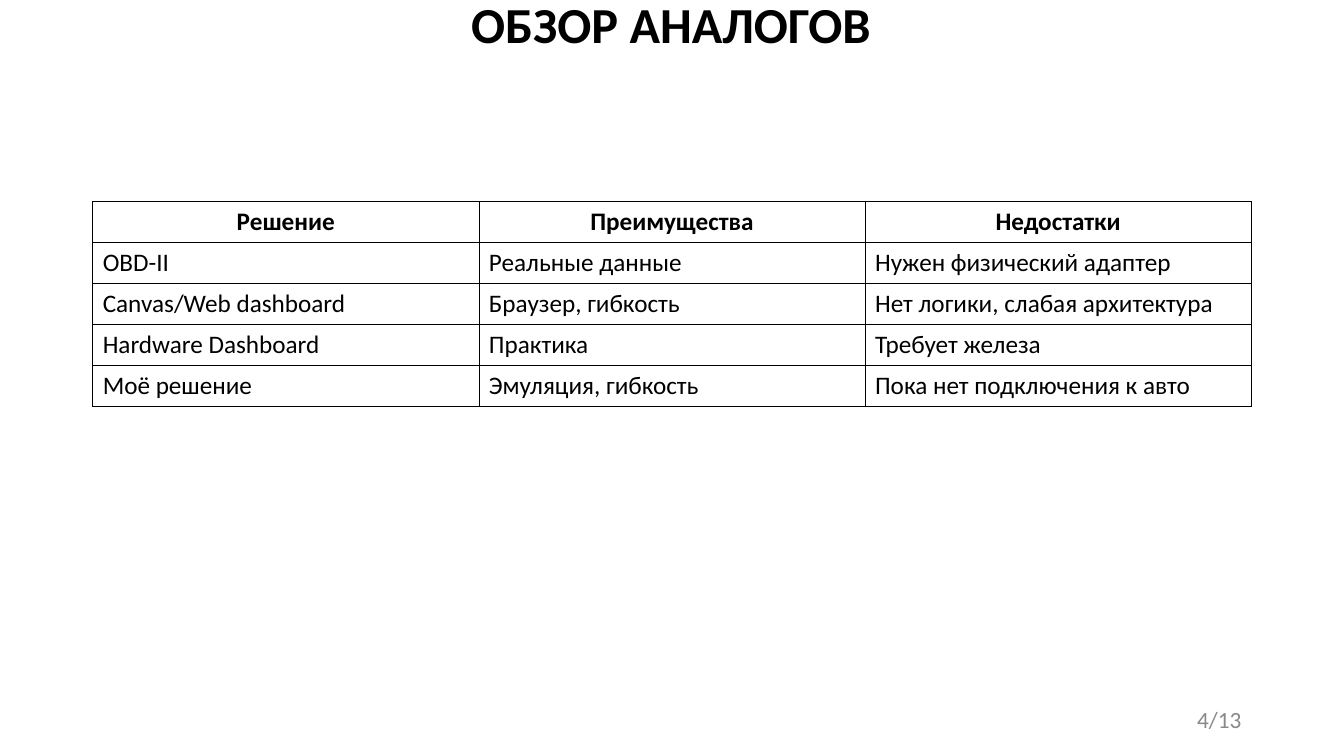
from dataclasses import dataclass

from lxml import etree
from pptx import Presentation
from pptx.dml.color import RGBColor
from pptx.enum.text import MSO_ANCHOR, PP_ALIGN
from pptx.oxml.ns import qn
from pptx.util import Inches, Pt

LEFT, CENTER, RIGHT = PP_ALIGN.LEFT, PP_ALIGN.CENTER, PP_ALIGN.RIGHT
MIDDLE = MSO_ANCHOR.MIDDLE


@dataclass(frozen=True)
class Theme:
    font: str = "Calibri"
    ink: str = "000000"
    muted: str = "898989"
    paper: str = "FFFFFF"
    title_size: float = 36
    table_size: float = 18
    page_size: float = 16.6
    border_width: float = 0.45


THEME = Theme()

COMPARISON = [
    ("Решение", "Преимущества", "Недостатки"),
    ("OBD-II", "Реальные данные", "Нужен физический адаптер"),
    ("Canvas/Web dashboard", "Браузер, гибкость", "Нет логики, слабая архитектура"),
    ("Hardware Dashboard", "Практика", "Требует железа"),
    ("Моё решение", "Эмуляция, гибкость", "Пока нет подключения к авто"),
]


def write(frame, text, size, color, align, bold=False):
    paragraph = frame.paragraphs[0]
    paragraph.alignment = align
    run = paragraph.add_run()
    run.text = text
    run.font.name = THEME.font
    run.font.size = Pt(size)
    run.font.bold = bold
    run.font.color.rgb = RGBColor.from_string(color)
    return paragraph


def add_label(slide, box, text, size, color, align, bold=False):
    frame = slide.shapes.add_textbox(*map(Inches, box)).text_frame
    frame.word_wrap = True
    frame.vertical_anchor = MIDDLE
    frame.margin_top = frame.margin_bottom = 0
    write(frame, text, size, color, align, bold).line_spacing = 0.9


def outline_cell(cell):
    properties = cell._tc.get_or_add_tcPr()
    for position, side in enumerate(("a:lnL", "a:lnR", "a:lnT", "a:lnB")):
        border = etree.Element(qn(side), w=str(Pt(THEME.border_width)))
        fill = etree.SubElement(border, qn("a:solidFill"))
        etree.SubElement(fill, qn("a:srgbClr"), val=THEME.ink)
        properties.insert(position, border)


def add_comparison(slide, box, rows):
    table = slide.shapes.add_table(len(rows), len(rows[0]), *map(Inches, box)).table
    table.first_row = table.horz_banding = False
    for row_index, row in enumerate(rows):
        is_header = row_index == 0
        for column_index, text in enumerate(row):
            cell = table.cell(row_index, column_index)
            cell.fill.solid()
            cell.fill.fore_color.rgb = RGBColor.from_string(THEME.paper)
            outline_cell(cell)
            write(cell.text_frame, text, THEME.table_size, THEME.ink,
                  CENTER if is_header else LEFT, is_header)


def main():
    deck = Presentation()
    deck.slide_width, deck.slide_height = Inches(13.34), Inches(7.5)
    slide = deck.slides.add_slide(deck.slide_layouts[6])
    add_label(slide, (2.35, 0.01, 8.62, 0.52), "ОБЗОР АНАЛОГОВ",
              THEME.title_size, THEME.ink, CENTER, bold=True)
    add_comparison(slide, (0.92, 2, 11.5, 2.03), COMPARISON)
    add_label(slide, (9.42, 6.95, 3, 0.4), "4/13",
              THEME.page_size, THEME.muted, RIGHT)
    deck.save("out.pptx")


if __name__ == "__main__":
    main()
